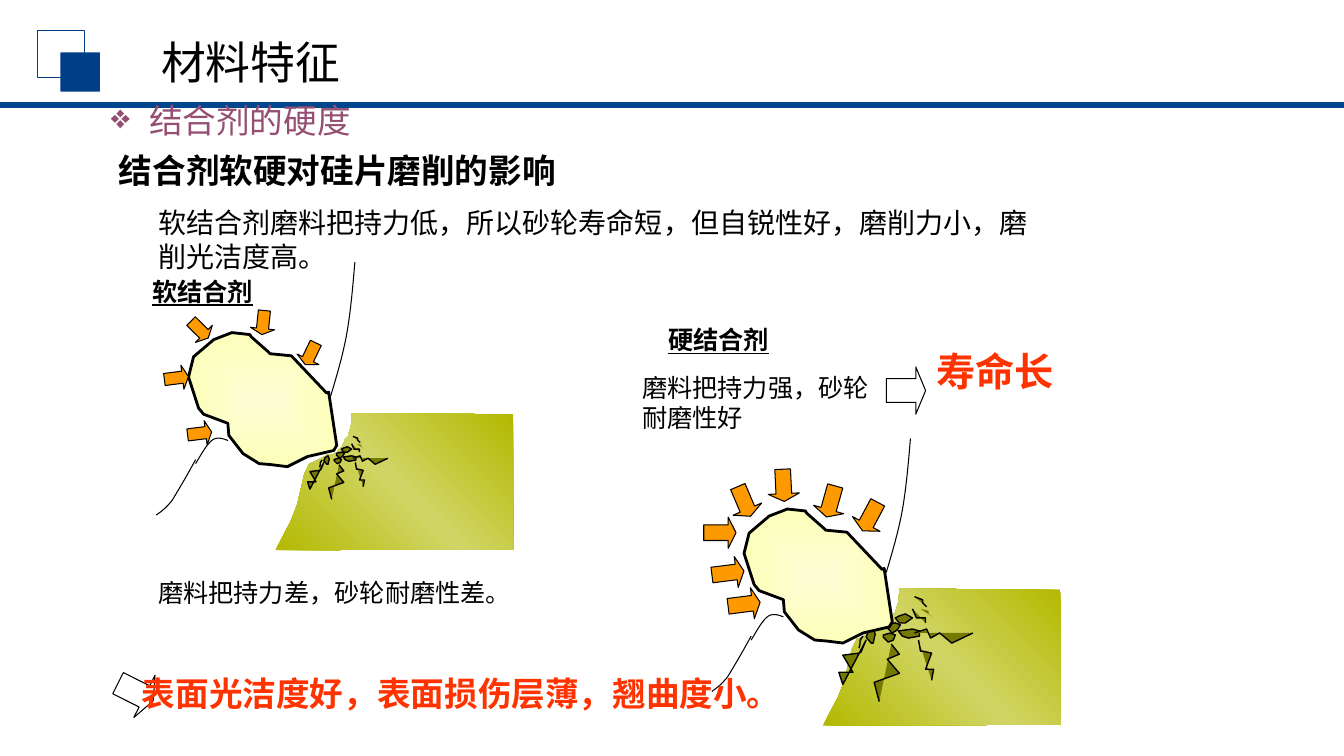
from lxml import etree
from pptx import Presentation
from pptx import util as u
from pptx.dml.color import RGBColor
from pptx.enum import shapes, text
from pptx.oxml import ns

PX = 9144  # 100 px to the inch
BLACK = RGBColor(0, 0, 0)
WHITE = RGBColor(255, 255, 255)
NAVY = RGBColor(0x00, 0x3E, 0x87)
RULE = RGBColor(0x01, 0x45, 0x8E)
PLUM = RGBColor(0x95, 0x4F, 0x72)
RED = RGBColor(0xFF, 0x33, 0x00)
ORANGE = RGBColor(0xFF, 0x99, 0x00)
OLIVE = RGBColor(0x76, 0x79, 0x00)
CJK = "Noto Sans CJK SC"
TIMES = "Times New Roman"

# words, box, size, font, colour, bold, underline, wrap
TEXTS = [
    ("磨料把持力强，砂轮耐磨性好", (627, 364, 268, 70), 18, TIMES, BLACK, False, False, True),
    ("磨料把持力差，砂轮耐磨性差。", (147, 568, 378, 40), 18, TIMES, BLACK, False, False, True),
    ("软结合剂磨料把持力低，所以砂轮寿命短，但自锐性好，磨削力小，磨削光洁度高。",
     (147, 199, 890, 137), 20, TIMES, BLACK, False, False, True),
    ("软结合剂", (141, 269, 120, 40), 18, TIMES, BLACK, True, True, False),
    ("硬结合剂", (653, 317, 120, 40), 18, TIMES, BLACK, True, True, False),
    ("结合剂软硬对硅片磨削的影响", (108, 144, 859, 50), 24, TIMES, BLACK, True, False, True),
    ("表面光洁度好，表面损伤层薄，翘曲度小。", (131, 663, 740, 57), 24, TIMES, RED, True, False, True),
    ("寿命长", (919, 340, 150, 57), 28, TIMES, RED, True, False, True),
    ("材料特征", (150, 30, 579, 64), 32, "Calibri", BLACK, False, False, True),
]
HEAD = ("结合剂的硬度", (100, 99, 505, 43), 24, CJK, PLUM, False, False, True)

# Wheel geometry, placed as for the hard bond
BLOCK = [(816, 720), (824, 705), (831, 692), (835, 682), (838, 674), (841, 661), (845, 644),
         (850, 634), (857, 631), (863, 628), (868, 625), (873, 625), (877, 623), (880, 619),
         (882, 617), (884, 614), (885, 610), (888, 608), (889, 604), (891, 598), (892, 587),
         (892, 584), (1052, 585), (1052, 719)]
GRAIN = [(882, 622), (885, 617), (877, 564), (875, 565), (840, 528), (819, 526), (817, 524),
         (800, 509), (799, 507), (781, 505), (763, 512), (743, 529), (738, 549), (748, 580),
         (753, 586), (777, 595), (778, 607), (792, 625), (808, 635), (820, 636), (836, 638),
         (856, 628)]
CHIPS = [
    [(884, 639), (892, 649), (880, 654), (892, 668), (867, 677), (872, 696)],
    [(907, 592), (915, 595), (915, 598), (919, 602)],
    [(905, 604), (909, 613), (918, 613), (918, 618)],
    [(891, 626), (895, 631), (901, 633), (912, 631), (912, 626), (905, 624), (891, 626)],
    [(888, 613), (892, 618), (898, 618), (905, 613), (898, 609), (892, 611), (888, 613)],
    [(880, 620), (880, 623), (885, 628), (890, 625), (893, 620), (888, 618), (880, 620)],
    [(876, 630), (876, 632), (881, 637), (886, 635), (888, 630), (883, 628), (876, 630)],
    [(866, 638), (864, 638), (859, 632), (861, 627), (866, 624), (868, 629), (866, 638)],
    [(907, 628), (919, 624), (923, 633), (932, 628), (944, 638), (965, 628)],
    [(859, 635), (854, 647), (852, 648), (836, 650), (846, 667), (832, 667), (836, 679), (859, 635)],
    [(911, 635), (913, 646), (915, 646), (924, 648), (918, 664), (926, 664), (924, 675)],
    [(856, 631), (853, 635), (853, 639), (852, 643)],
]
FLAKES = [[(913, 604), (921, 606), (921, 609), (925, 612)],
          [(905, 604), (909, 613), (917, 613), (917, 617)]]
# Bezier chains: a start, then three points for each span
CURVES = [
    [(879, 568), (885, 548), (891, 528), (895, 506), (899, 483), (901, 459), (903, 435)],
    [(777, 612), (772, 610), (766, 608), (761, 612), (756, 616), (751, 625), (745, 635)],
    [(745, 631), (737, 646), (728, 661), (722, 671), (715, 680), (710, 683), (706, 686)],
]
# block shift, grain shift, chip corner, chip scale, arrow size, arrows (left, top, turn)
SCENES = [
    ((0, 0), (0, 0), (832, 592), 1, (32, 31),
     [(706, 553, 352.8), (698, 513, 0), (722, 482, 66.9), (761, 466, 87.2),
      (808, 482, 105.7), (847, 497, 118.1), (722, 584, 352.8)]),
    ((-543, -174), (-551, -175), (305, 433), 0.6, (24, 24),
     [(186, 418, 352.8), (163, 363, 352.8), (186, 315, 44.5), (249, 308, 95.8),
      (296, 339, 115.6)]),
]
BIG = [((879, 364, 39, 47), 0), ((115, 663, 39, 47), 26.6)]
OLIVES = [(0, "B3B900"), (50, "D1D566"), (100, "B3B900")]
CREAMS = [(0, "FDFED5"), (100, "FCFEB9")]
LINEAR = '<a:lin ang="18900000" scaled="0"/>'
CENTRE = '<a:path path="rect"><a:fillToRect l="50000" t="50000" r="50000" b="50000"/></a:path>'


def emu(vals):
    return [round(v * PX) for v in vals]


def paint(shape, fill=None, line=None, width=1):
    shape.shadow.inherit = False
    if fill is None:
        shape.fill.background()
    else:
        shape.fill.solid()
        shape.fill.fore_color.rgb = fill
    if line is None:
        shape.line.fill.background()
    else:
        shape.line.color.rgb = line
        shape.line.width = u.Pt(width)


def blend(shape, stops, mode):
    """Swap the fill for a gradient."""
    gs = "".join(f'<a:gs pos="{p * 1000}"><a:srgbClr val="{c}"/></a:gs>' for p, c in stops)
    grad = etree.fromstring(f'<a:gradFill {ns.nsdecls("a")}><a:gsLst>{gs}</a:gsLst>{mode}</a:gradFill>')
    old = shape.fill._xPr.find(ns.qn("a:noFill"))
    old.getparent().replace(old, grad)


def outline(parent, pts, close=False):
    pts = [emu(p) for p in pts]
    pen = parent.build_freeform(*pts[0], scale=1.0)
    pen.add_line_segments(pts[1:], close=close)
    return pen.convert_to_shape()


def arrow(parent, box, turn, fill):
    shape = parent.add_shape(shapes.MSO_SHAPE.RIGHT_ARROW, *emu(box))
    shape.adjustments[1] = 0.25
    shape.rotation = turn
    paint(shape, fill, BLACK, 0.75)


def shift(pts, by):
    return [(x + by[0], y + by[1]) for x, y in pts]


def bend(chain, steps=12):
    """Points along a chain of cubic spans."""
    out = [chain[0]]
    for i in range(0, len(chain) - 1, 3):
        for k in range(1, steps + 1):
            t = k / steps
            w = ((1 - t) ** 3, 3 * t * (1 - t) ** 2, 3 * t * t * (1 - t), t ** 3)
            out.append(tuple(sum(a * p[d] for a, p in zip(w, chain[i:i + 4])) for d in (0, 1)))
    return out


def scene(slide, block, grain, corner, scale, size, arrows):
    group = slide.shapes.add_group_shape().shapes
    base = outline(group, shift(BLOCK, block), True)
    paint(base)
    blend(base, OLIVES, LINEAR)
    for chips, line, close in ((FLAKES, None, True), (CHIPS, BLACK, False)):
        for chip in chips:
            pts = [((x - 832) * scale + corner[0], (y - 592) * scale + corner[1]) for x, y in chip]
            paint(outline(group, pts, close), OLIVE, line)
    for chain in CURVES:
        paint(outline(group, shift(bend(chain), grain)), None, BLACK, 0.75)
    body = outline(group, shift(GRAIN, grain), True)
    paint(body, None, BLACK, 2)
    blend(body, CREAMS, CENTRE)
    for x, y, turn in arrows:
        arrow(group, (x, y, *size), turn, ORANGE)


def write(slide, words, box, size, face, color, bold, under, wrap):
    frame = slide.shapes.add_textbox(*emu(box)).text_frame
    frame.word_wrap = wrap
    frame.auto_size = text.MSO_AUTO_SIZE.NONE
    frame.text = words
    para = frame.paragraphs[0]
    run = para.runs[0]
    font = run.font
    font.size, font.name, font.bold, font.underline = u.Pt(size), face, bold, under
    font.color.rgb = color
    asian = etree.SubElement(run._r.get_or_add_rPr(), ns.qn("a:ea"))
    asian.set("typeface", CJK)
    return para


def bullet(para):
    para.line_spacing = 0.9
    props = para._p.get_or_add_pPr()
    props.set("marL", str(38 * PX))
    props.set("indent", str(-38 * PX))
    tint = etree.SubElement(props, ns.qn("a:buClr"))
    etree.SubElement(tint, ns.qn("a:srgbClr")).set("val", str(PLUM))
    etree.SubElement(props, ns.qn("a:buChar")).set("char", "❖")


def main():
    deck = Presentation()
    deck.slide_width, deck.slide_height = emu((1333, 750))
    slide = deck.slides.add_slide(deck.slide_layouts[6])
    rule = slide.shapes.add_connector(shapes.MSO_CONNECTOR.STRAIGHT, *emu((0, 104, 1333, 104)))
    rule.line.color.rgb = RULE
    rule.line.width = u.Pt(4.5)
    etree.SubElement(rule._element.spPr, ns.qn("a:effectLst"))
    for box, fill in (((37, 30, 47, 47), None), ((60, 52, 39, 39), NAVY)):
        square = slide.shapes.add_shape(shapes.MSO_SHAPE.RECTANGLE, *emu(box))
        paint(square, fill, None if fill else NAVY)
    for parts in SCENES:
        scene(slide, *parts)
    for box, turn in BIG:
        arrow(slide.shapes, box, turn, WHITE)
    for item in TEXTS:
        write(slide, *item)
    bullet(write(slide, *HEAD))
    deck.save("out.pptx")


if __name__ == "__main__":
    main()
